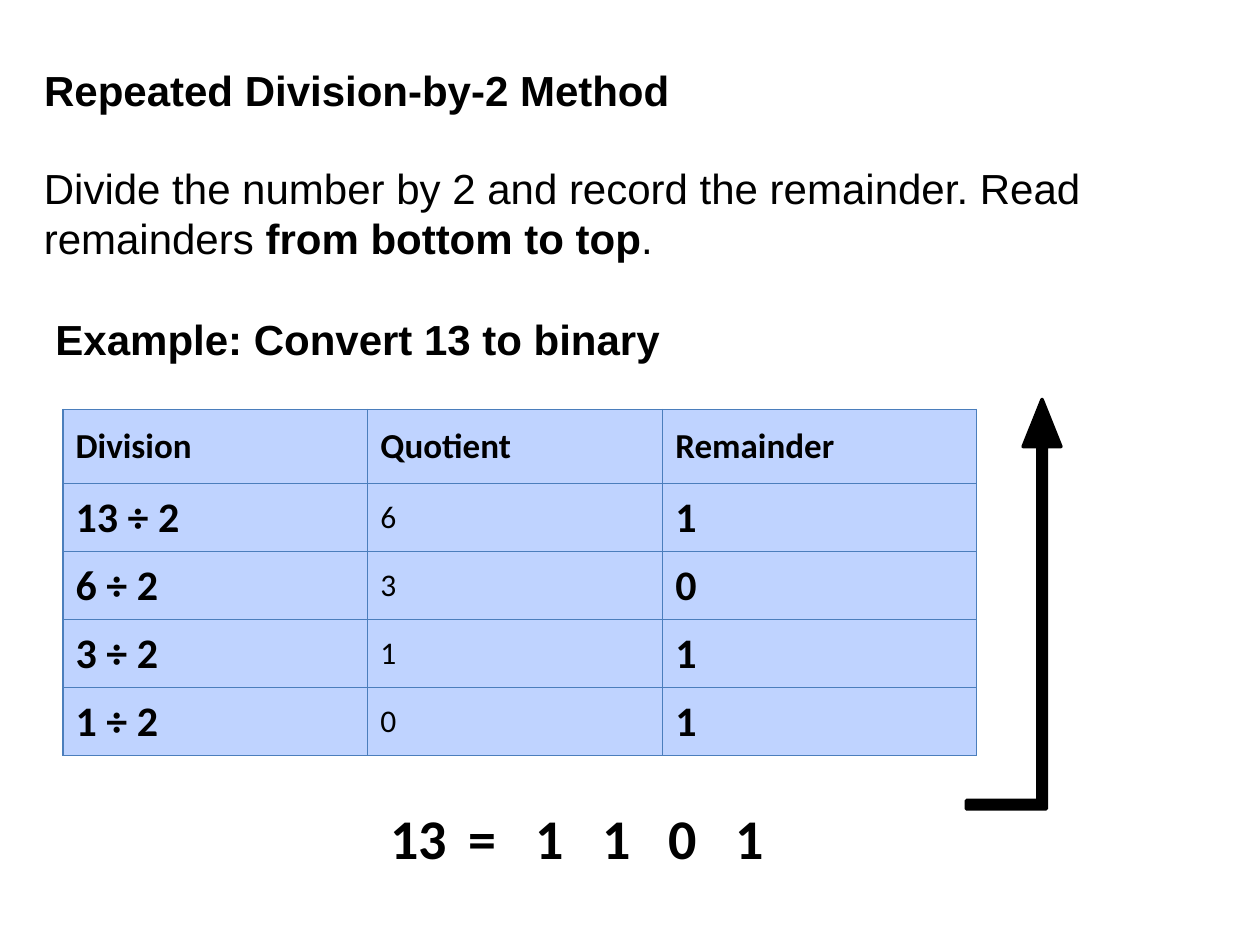
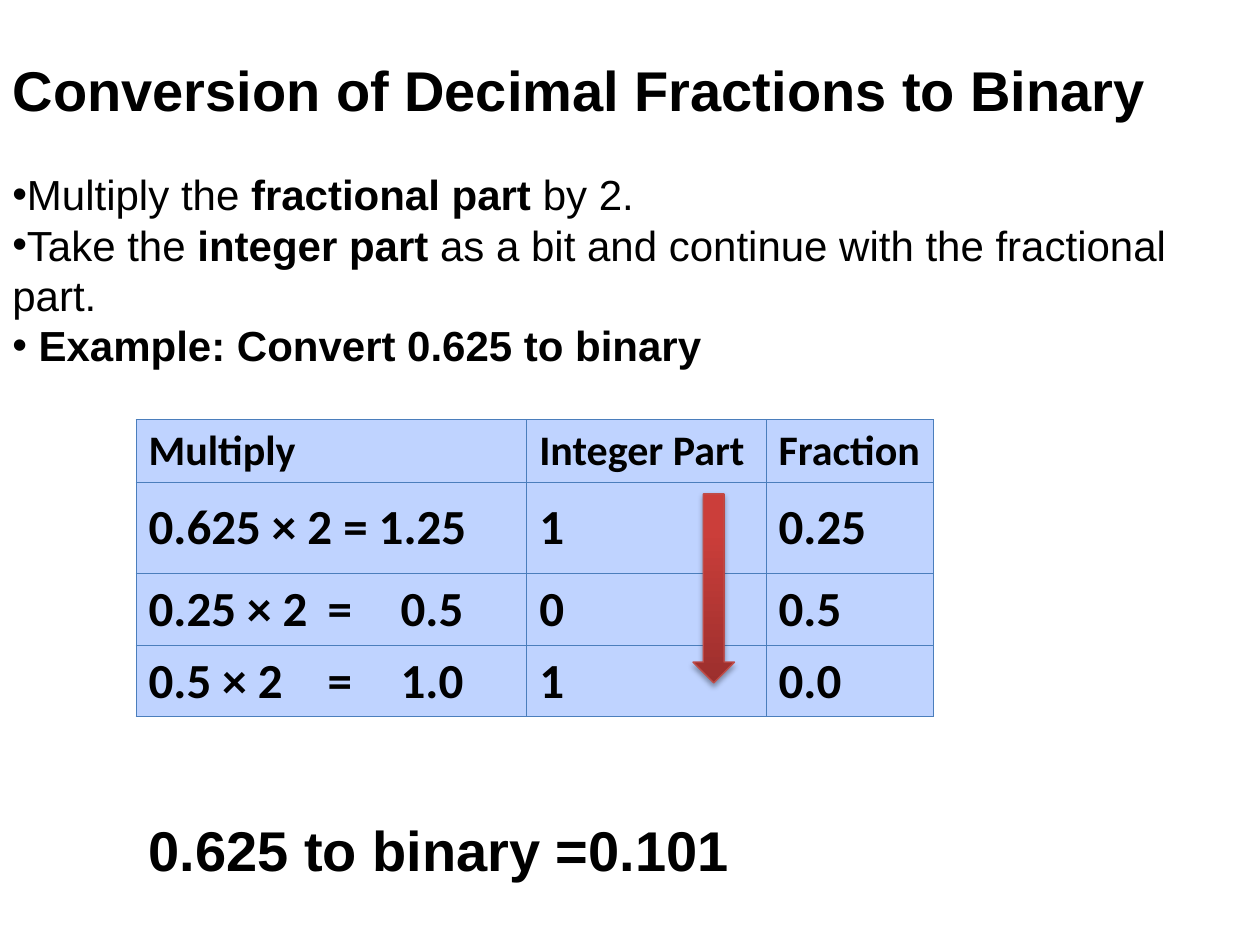
from lxml.etree import SubElement
from pptx import Presentation
from pptx.dml.color import RGBColor
from pptx.enum.dml import MSO_LINE
from pptx.enum.shapes import MSO_SHAPE
from pptx.enum.text import MSO_ANCHOR, MSO_AUTO_SIZE, PP_ALIGN
from pptx.oxml.ns import qn
from pptx.util import Inches, Pt

INK = "000000"
CELL_FILL = "BFD3FF"
CELL_BORDER = "4B7EBC"
HEADING_FONT = "Arial"
TABLE_FONT = "Calibri"
BODY_SIZE = 24
RESULT_SIZE = 32
LINE_PITCH = 28.8


def rgb(hex_colour):
    return RGBColor.from_string(hex_colour)


def add_tab_stops(paragraph, positions):
    stops = SubElement(paragraph._p.get_or_add_pPr(), qn("a:tabLst"))
    for position in positions:
        SubElement(stops, qn("a:tab"), pos=str(Inches(position)), algn="l")


def add_bullet(paragraph):
    properties = paragraph._p.get_or_add_pPr()
    properties.set("marL", "0")
    properties.set("indent", "0")
    SubElement(properties, qn("a:buFont"), typeface=HEADING_FONT)
    SubElement(properties, qn("a:buChar"), char="•")


def add_run(paragraph, text, size, font=HEADING_FONT, bold=True):
    run = paragraph.add_run()
    run.text = text
    run.font.size = Pt(size)
    run.font.name = font
    run.font.bold = bold
    run.font.color.rgb = rgb(INK)


def style_cell(cell):
    cell.fill.solid()
    cell.fill.fore_color.rgb = rgb(CELL_FILL)
    cell.vertical_anchor = MSO_ANCHOR.MIDDLE
    properties = cell._tc.get_or_add_tcPr()
    for index, side in enumerate(("lnL", "lnR", "lnT", "lnB")):
        border = SubElement(properties, qn(f"a:{side}"), w=str(Pt(0.75)))
        fill = SubElement(border, qn("a:solidFill"))
        SubElement(fill, qn("a:srgbClr"), val=CELL_BORDER)
        properties.insert(index, border)


class Deck:
    def __init__(self):
        self.presentation = Presentation()
        self.presentation.slide_width = Inches(10)
        self.presentation.slide_height = Inches(7.5)
        self.slide = None

    def start_slide(self, title, left, top, size):
        layout = self.presentation.slide_layouts[5]
        self.slide = self.presentation.slides.add_slide(layout)
        heading = self.slide.shapes.title
        heading.left, heading.top = Inches(left), Inches(top)
        heading.width, heading.height = Inches(10 - left), Inches(0.65)
        frame = heading.text_frame
        frame.auto_size = MSO_AUTO_SIZE.NONE
        frame.vertical_anchor = MSO_ANCHOR.TOP
        paragraph = frame.paragraphs[0]
        paragraph.alignment = PP_ALIGN.LEFT
        add_run(paragraph, title, size)

    def text_frame(self, left, top, width, height):
        box = self.slide.shapes.add_textbox(
            Inches(left), Inches(top), Inches(width), Inches(height))
        box.text_frame.word_wrap = True
        return box.text_frame

    def body(self, left, top, width, paragraphs, bulleted=False, gap=0):
        """Add paragraphs given as lists of (text, bold) runs."""
        frame = self.text_frame(left, top, width, 1.75)
        for index, runs in enumerate(paragraphs):
            paragraph = frame.add_paragraph() if index else frame.paragraphs[0]
            paragraph.line_spacing = Pt(LINE_PITCH)
            if index:
                paragraph.space_before = Pt(gap)
            if bulleted:
                add_bullet(paragraph)
            for text, bold in runs:
                add_run(paragraph, text, BODY_SIZE, bold=bold)

    def result(self, left, top, width, text, font, tabs=()):
        paragraph = self.text_frame(left, top, width, 0.64).paragraphs[0]
        if tabs:
            add_tab_stops(paragraph, tabs)
        add_run(paragraph, text, RESULT_SIZE, font)

    def table(self, left, top, widths, heights, rows, header_size, columns, tabs=()):
        """Add a table; columns holds the (size, bold) of each body column."""
        table = self.slide.shapes.add_table(
            len(rows), len(widths), Inches(left), Inches(top),
            Inches(sum(widths)), Inches(sum(heights))).table
        for column, width in zip(table.columns, widths):
            column.width = Inches(width)
        for row, height in zip(table.rows, heights):
            row.height = Inches(height)
        for r, texts in enumerate(rows):
            for c, text in enumerate(texts):
                cell = table.cell(r, c)
                style_cell(cell)
                paragraph = cell.text_frame.paragraphs[0]
                if "\t" in text:
                    add_tab_stops(paragraph, tabs)
                size, bold = columns[c] if r else (header_size, True)
                add_run(paragraph, text, size, TABLE_FONT, bold)

    def arrow(self, preset, left, top, width, height, line, line_width):
        arrow = self.slide.shapes.add_shape(
            preset, Inches(left), Inches(top), Inches(width), Inches(height))
        arrow.shadow.inherit = False
        arrow.line.color.rgb = rgb(line)
        arrow.line.width = Pt(line_width)
        arrow.line.dash_style = MSO_LINE.SOLID
        return arrow


def add_drop_shadow(shape):
    effects = shape._element.spPr.find(qn("a:effectLst"))
    shadow = SubElement(effects, qn("a:outerShdw"), blurRad=str(Pt(3.1)),
                        dist=str(Pt(1.8)), dir="5400000", rotWithShape="0")
    colour = SubElement(shadow, qn("a:srgbClr"), val=INK)
    SubElement(colour, qn("a:alpha"), val="35000")


def build_division_slide(deck):
    deck.start_slide("Repeated Division-by-2 Method", 0.25, 0.46, BODY_SIZE)
    deck.body(0.25, 1.24, 9.5, [
        [("Divide the number by 2 and record the remainder. Read remainders ", False),
         ("from bottom to top", True), (".", False)],
        [(" Example: Convert 13 to binary", True)],
    ], gap=LINE_PITCH)
    deck.table(0.5, 3.25, [2.42, 2.34, 2.49], [0.59] + [0.54] * 4, [
        ["Division", "Quotient", "Remainder"],
        ["13 ÷ 2", "6", "1"],
        ["6 ÷ 2", "3", "0"],
        ["3 ÷ 2", "1", "1"],
        ["1 ÷ 2", "0", "1"],
    ], 20, [(24, True), (18, False), (24, True)])
    reading_order = deck.arrow(MSO_SHAPE.BENT_UP_ARROW, 7.67, 3.17, 0.75, 3.25, INK, 2)
    reading_order.fill.solid()
    reading_order.fill.fore_color.rgb = rgb(INK)
    for index, value in enumerate((0.09, 0.2, 0.5)):
        reading_order.adjustments[index] = value
    bit_tabs = [1.15 + 0.53 * bit for bit in range(4)]
    deck.result(3, 6.33, 3.5, "13\t=\t1\t1\t0\t1", TABLE_FONT, [0.62] + bit_tabs)


def build_fraction_slide(deck):
    deck.start_slide("Conversion of Decimal Fractions to Binary", 0, 0.39, RESULT_SIZE)
    deck.body(0, 1.29, 10, [
        [("Multiply the ", False), ("fractional part", True), (" by 2.", False)],
        [("Take the ", False), ("integer part", True),
         (" as a bit and continue with the fractional part.", False)],
        [(" Example: Convert 0.625 to binary", True)],
    ], bulleted=True)
    deck.table(1.08, 3.33, [3.1, 1.9, 1.33], [0.5, 0.72, 0.57, 0.57], [
        ["Multiply", "Integer Part", "Fraction"],
        ["0.625 × 2 = 1.25", "1", "0.25"],
        ["0.25 × 2\t=\t0.5", "0", "0.5"],
        ["0.5 × 2\t=\t1.0", "1", "0.0"],
    ], 24, [(28, True)] * 3, tabs=[1.42, 2])
    deck.result(1.08, 6.42, 6.25, "0.625 to binary =0.101", HEADING_FONT)
    reading_order = deck.arrow(MSO_SHAPE.DOWN_ARROW, 5.5, 3.92, 0.33, 1.5, "BF4C48", 0.75)
    reading_order.fill.gradient()
    reading_order.fill.gradient_angle = 90
    stops = reading_order.fill.gradient_stops
    for stop, position, colour in zip(stops, (0, 0.8), ("9C2F2D", "CB3E3A")):
        stop.position = position
        stop.color.rgb = rgb(colour)
    add_drop_shadow(reading_order)


def main():
    deck = Deck()
    build_division_slide(deck)
    build_fraction_slide(deck)
    deck.presentation.save("out.pptx")


if __name__ == "__main__":
    main()
